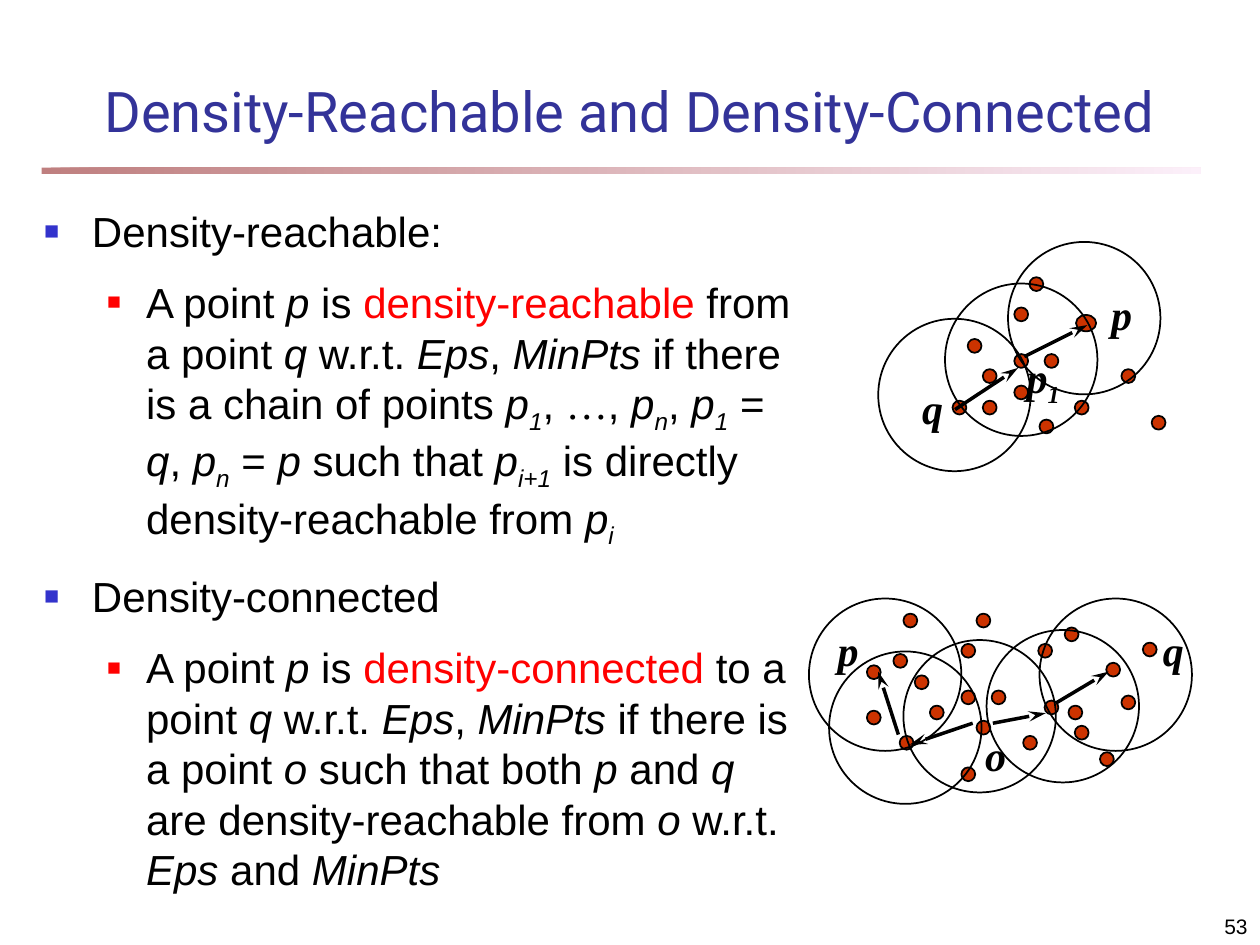
import pptx
import pptx.util
import pptx.dml.color
import pptx.enum.shapes
import pptx.enum.text
import lxml.etree
from pptx.util import Inches


def color(value):
    return pptx.dml.color.RGBColor.from_string(value)


def add_xml(parent, tag, **attributes):
    return lxml.etree.SubElement(parent, pptx.oxml.ns.qn(tag), attributes)


deck = pptx.Presentation()
deck.slide_width = Inches(10)
deck.slide_height = Inches(7.5)
slide = deck.slides.add_slide(deck.slide_layouts[1])
shapes = slide.shapes
SHAPE = pptx.enum.shapes.MSO_SHAPE
ANCHOR = pptx.enum.text.MSO_ANCHOR
ALIGN = pptx.enum.text.PP_ALIGN

rule = shapes.add_shape(SHAPE.RECTANGLE, Inches(0.33), Inches(1.33), Inches(9.2), Inches(0.05))
rule.shadow.inherit = False
rule.line.fill.background()
rule.fill.gradient()
rule.fill.gradient_angle = 0
for stop, shade in zip(rule.fill.gradient_stops, ("800000", "FAE2F6")):
    stop.color.rgb = color(shade)
for shade in rule.fill._xPr.iter(pptx.oxml.ns.qn("a:srgbClr")):
    add_xml(shade, "a:alpha", val="50000")

title = shapes.title
title.left, title.top, title.width, title.height = Inches(0), Inches(0.41), Inches(10), Inches(0.92)
title.text_frame.vertical_anchor = ANCHOR.MIDDLE
heading = title.text_frame.paragraphs[0]
heading.alignment = ALIGN.CENTER
heading_run = heading.add_run()
heading_run.text = "Density-Reachable and Density-Connected"
heading_run.font.size = pptx.util.Pt(32)
heading_run.font.name = "Roboto"
heading_run.font.color.rgb = color("333399")

PLAIN, ITALIC, SUB, RED, SERIF = range(5)
definitions = [
    (0, [("Density-reachable:", PLAIN)]),
    (1, [("A point ", PLAIN), ("p", ITALIC), (" is ", PLAIN), ("density-reachable", RED),
         (" from a point ", PLAIN), ("q", ITALIC), (" w.r.t. ", PLAIN), ("Eps", ITALIC),
         (", ", PLAIN), ("MinPts", ITALIC), (" if there is a chain of points ", PLAIN),
         ("p", ITALIC), ("1", SUB), (", ", PLAIN), ("…", SERIF), (", ", PLAIN),
         ("p", ITALIC), ("n", SUB), (", ", PLAIN), ("p", ITALIC), ("1", SUB), (" = ", PLAIN),
         ("q", ITALIC), (", ", PLAIN), ("p", ITALIC), ("n", SUB), (" = ", PLAIN),
         ("p", ITALIC), (" such that ", PLAIN), ("p", ITALIC), ("i+1", SUB),
         (" is directly density-reachable from ", PLAIN), ("p", ITALIC), ("i", SUB)]),
    (0, [("Density-connected", PLAIN)]),
    (1, [("A point ", PLAIN), ("p", ITALIC), (" is ", PLAIN), ("density-connected", RED),
         (" to a point ", PLAIN), ("q", ITALIC), (" w.r.t. ", PLAIN), ("Eps", ITALIC),
         (", ", PLAIN), ("MinPts", ITALIC), (" if there is a point ", PLAIN), ("o ", ITALIC),
         ("such that both ", PLAIN), ("p", ITALIC), (" and ", PLAIN), ("q", ITALIC),
         (" are density-reachable from ", PLAIN), ("o", ITALIC), (" w.r.t. ", PLAIN),
         ("Eps", ITALIC), (" and ", PLAIN), ("MinPts", ITALIC)]),
]
level_styles = [(0.38, -0.38, "3333CC", "60000"), (0.81, -0.31, "FF0000", "55000")]

body = slide.placeholders[1]
body.left, body.top, body.width, body.height = Inches(0.25), Inches(1.58), Inches(6.17), Inches(5.5)
body.text_frame.auto_size = pptx.enum.text.MSO_AUTO_SIZE.NONE
for index, (level, pieces) in enumerate(definitions):
    paragraph = body.text_frame.add_paragraph() if index else body.text_frame.paragraphs[0]
    paragraph.level = level
    paragraph.space_before = pptx.util.Pt(12 if index else 0)
    margin, indent, bullet_color, bullet_size = level_styles[level]
    properties = paragraph._p.get_or_add_pPr()
    properties.set("marL", str(Inches(margin)))
    properties.set("indent", str(Inches(indent)))
    add_xml(add_xml(properties, "a:buClr"), "a:srgbClr", val=bullet_color)
    add_xml(properties, "a:buSzPct", val=bullet_size)
    add_xml(properties, "a:buFont", typeface="Arial")
    add_xml(properties, "a:buChar", char="■")
    for text, style in pieces:
        run = paragraph.add_run()
        run.text = text
        run.font.size = pptx.util.Pt(24)
        run.font.name = "Times New Roman" if style == SERIF else "Arial"
        run.font.italic = style in (ITALIC, SUB)
        run.font.color.rgb = color("FF0000" if style == RED else "000000")
        if style == SUB:
            run._r.get_or_add_rPr().set("baseline", "-25000")

reachable_points = [
    (7.68, 2.69), (8.05, 2.81), (8.05, 2.44), (7.56, 3.18), (7.8, 2.93), (7.8, 3.18), (8.25, 3.33),
    (8.17, 2.2), (8.9, 2.93), (8.05, 3.06), (8.29, 2.81), (8.53, 3.18), (9.14, 3.3),
]
connected_points = [
    (7.26, 5.36), (7.63, 5.48), (7.63, 5.11), (7.14, 5.84), (7.38, 5.6), (7.63, 6.09), (7.75, 5.72),
    (7.75, 4.87), (8.48, 5.6), (8.24, 5.11), (6.88, 5.64), (7.87, 5.48), (8.12, 5.84), (8.73, 5.97),
    (8.9, 5.52), (8.29, 5.56), (8.53, 5.76), (9.07, 5.1), (8.45, 4.98), (8.78, 5.26),
    (7.09, 5.19), (6.88, 5.28), (7.17, 4.87),
]
neighborhoods = [
    (7.5, 2.25), (6.97, 2.53), (8, 1.92),
    (6.58, 5.17), (7.17, 5.08), (7.83, 5), (8.25, 4.75), (6.42, 4.75),
]
ellipses = [(x, y, 0.11, 0.11, True) for x, y in reachable_points + connected_points]
ellipses.append((8.54, 2.5, 0.16, 0.13, True))
ellipses += [(x, y, 1.21, 1.21, False) for x, y in neighborhoods]
for x, y, width, height, is_point in ellipses:
    ellipse = shapes.add_shape(SHAPE.OVAL, Inches(x), Inches(y), Inches(width), Inches(height))
    ellipse.shadow.inherit = False
    ellipse.line.color.rgb = color("000000")
    ellipse.line.width = pptx.util.Pt(1)
    if is_point:
        ellipse.fill.solid()
        ellipse.fill.fore_color.rgb = color("CC3300")
    else:
        ellipse.fill.background()

steps = [
    (7.58, 3.25, 8.08, 2.92), (8.13, 2.83, 8.63, 2.58),
    (7.72, 5.74, 7.22, 5.91), (7.88, 5.74, 8.3, 5.66),
    (7.13, 5.83, 6.97, 5.33), (8.38, 5.58, 8.8, 5.33),
]
for step in steps:
    arrow = shapes.add_connector(pptx.enum.shapes.MSO_CONNECTOR.STRAIGHT, *map(Inches, step))
    arrow.line.color.rgb = color("000000")
    arrow.line.width = pptx.util.Pt(2)
    add_xml(arrow.line._get_or_add_ln(), "a:tailEnd", type="stealth", w="med", len="lg")
    add_xml(arrow._element.spPr, "a:effectLst")

point_names = [
    (8.72, 2.24, 0.42, "p", ""), (7.22, 2.99, 0.42, "q", ""), (8.05, 2.74, 0.67, "p", "1"),
    (6.55, 4.91, 0.42, "p", ""), (9.13, 4.91, 0.42, "q", ""), (7.72, 5.74, 0.42, "o", ""),
]
for x, y, width, letter, subscript in point_names:
    label = shapes.add_textbox(Inches(x), Inches(y), Inches(width), Inches(0.5))
    label.text_frame.word_wrap = True
    name = label.text_frame.paragraphs[0]
    for text in filter(None, (letter, subscript)):
        run = name.add_run()
        run.text = text
        run.font.size = pptx.util.Pt(24)
        run.font.name = "Times New Roman"
        run.font.bold = run.font.italic = True
        run.font.color.rgb = color("000000")
        if text == subscript:
            run._r.get_or_add_rPr().set("baseline", "-25000")

page = shapes.add_textbox(Inches(7.92), Inches(7.08), Inches(2.08), Inches(0.42))
page.text_frame.word_wrap = True
page.text_frame.vertical_anchor = ANCHOR.BOTTOM
page_number = page.text_frame.paragraphs[0]
page_number.alignment = ALIGN.RIGHT
page_run = page_number.add_run()
page_run.text = "53"
page_run.font.size = pptx.util.Pt(12)
page_run.font.name = "Arial"
page_run.font.color.rgb = color("000000")

deck.save("out.pptx")
